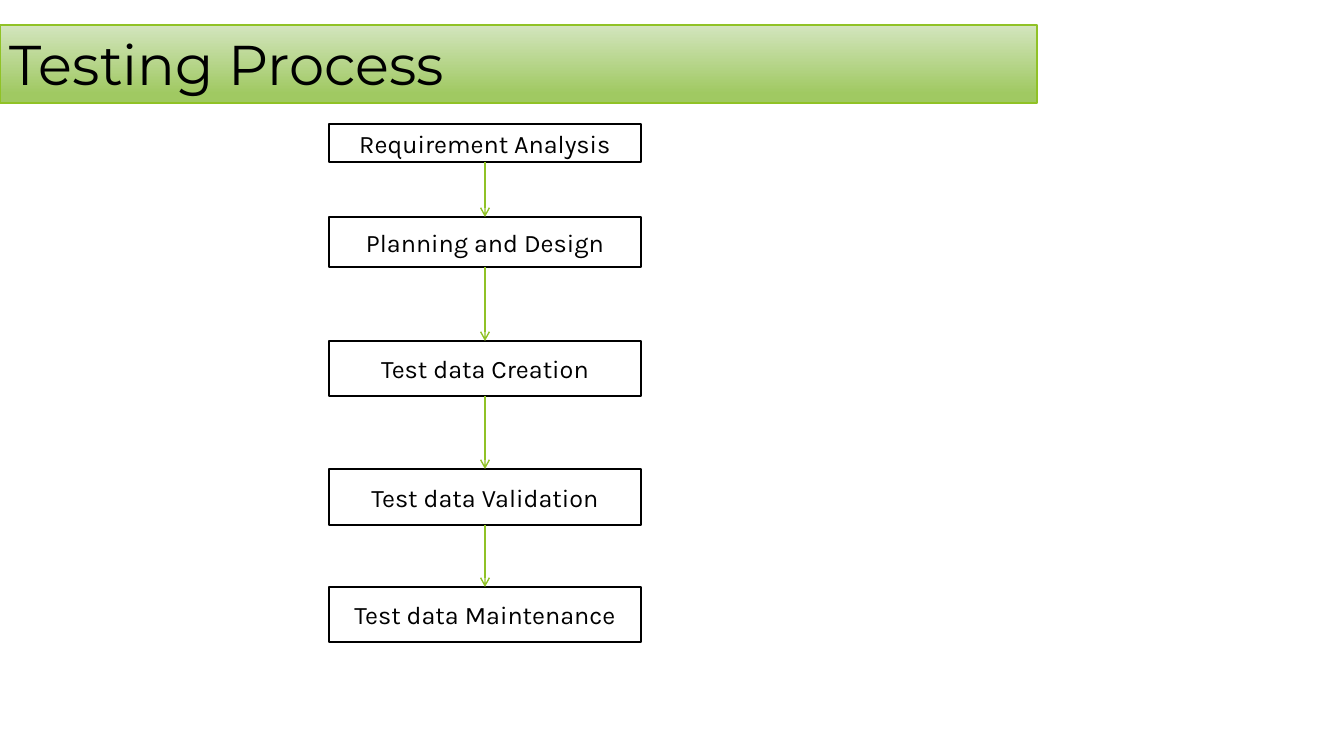
import pptx
import pptx.util
import pptx.dml.color
import pptx.enum.shapes
import pptx.enum.text
import pptx.oxml.ns
import lxml.etree

PX = 914400 / 100.8
HUES = {"ink": "000000", "paper": "FFFFFF", "green": "90C226",
        "light": "D3E5BE", "deep": "A0C962"}


def hue(name):
    return pptx.dml.color.RGBColor.from_string(HUES[name])


def add_box(label, left, top, width, height, font, size, edge, weight):
    box = slide.shapes.add_shape(
        pptx.enum.shapes.MSO_SHAPE.RECTANGLE,
        *[round(n * PX) for n in (left, top, width, height)])
    box.shadow.inherit = False
    box.line.color.rgb = hue(edge)
    box.line.width = pptx.util.Pt(weight)
    box.text_frame.text = label
    run = box.text_frame.paragraphs[0].runs[0]
    run.font.name = font
    run.font.size = pptx.util.Pt(size)
    run.font.color.rgb = hue("ink")
    return box


deck = pptx.Presentation()
deck.slide_width = round(1344 * PX)
deck.slide_height = round(756 * PX)
slide = deck.slides.add_slide(deck.slide_layouts[6])

# Title bar
bar = add_box("Testing Process", 0, 25, 1037, 78, "Montserrat", 40, "green", 1)
bar.text_frame.vertical_anchor = pptx.enum.text.MSO_ANCHOR.TOP
bar.text_frame.paragraphs[0].alignment = pptx.enum.text.PP_ALIGN.LEFT
bar.fill.gradient()
bar.fill.gradient_angle = 270
for stop, name, place in zip(bar.fill.gradient_stops, ("light", "deep"), (0, 0.88)):
    stop.color.rgb = hue(name)
    stop.position = place

# Process steps: label, top, height
STEPS = [("Requirement Analysis", 124, 38),
         ("Planning and Design", 217, 50),
         ("Test data Creation", 341, 55),
         ("Test data Validation", 469, 56),
         ("Test data Maintenance", 587, 55)]
boxes = []
for label, top, height in STEPS:
    box = add_box(label, 329, top, 312, height, "Karla", 18, "ink", 1.5)
    box.fill.solid()
    box.fill.fore_color.rgb = hue("paper")
    box.text_frame.vertical_anchor = pptx.enum.text.MSO_ANCHOR.MIDDLE
    box.text_frame.paragraphs[0].alignment = pptx.enum.text.PP_ALIGN.CENTER
    boxes.append(box)

# Arrows from the bottom of each step to the top of the next
for upper, lower in zip(boxes, boxes[1:]):
    arrow = slide.shapes.add_connector(
        pptx.enum.shapes.MSO_CONNECTOR.STRAIGHT, 0, 0, 0, 0)
    arrow.begin_connect(upper, 2)
    arrow.end_connect(lower, 0)
    arrow.line.color.rgb = hue("green")
    arrow.line.width = pptx.util.Pt(1)
    qn = pptx.oxml.ns.qn
    lxml.etree.SubElement(arrow.line._get_or_add_ln(), qn("a:tailEnd"), type="arrow")
    lxml.etree.SubElement(arrow._element.spPr, qn("a:effectLst"))

deck.save("out.pptx")
